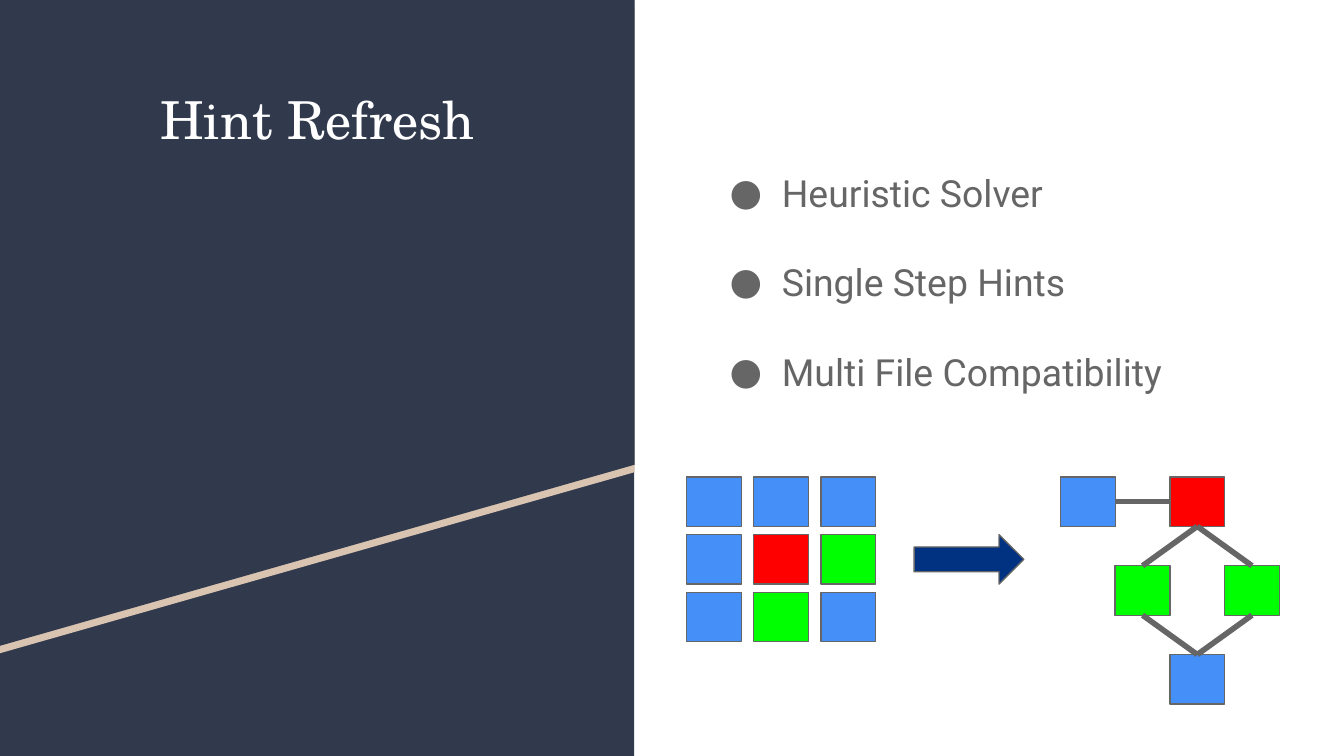
"""Build the Hint Refresh slide with its puzzle grid and constraint graph."""
from dataclasses import dataclass

import lxml.etree
import pptx
import pptx.dml.color
import pptx.enum.shapes
import pptx.enum.text
import pptx.oxml.ns
import pptx.util

Pt = pptx.util.Pt
MSO_SHAPE = pptx.enum.shapes.MSO_SHAPE


@dataclass(frozen=True)
class Theme:
    navy: str = "31394D"
    sand: str = "D9C4B1"
    white: str = "FFFFFF"
    grey: str = "666666"
    blue: str = "448FF8"
    red: str = "FF0000"
    green: str = "00FF00"
    arrow: str = "013181"
    title_font: str = "TeX Gyre Schola"
    body_font: str = "Roboto"
    title_size: float = 28
    body_size: float = 20


@dataclass(frozen=True)
class Lattice:
    left: float
    top: float
    column_step: float
    row_step: float


@dataclass(frozen=True)
class Tile:
    column: int
    row: int
    color: str


@dataclass(frozen=True)
class Edge:
    start: int
    start_site: int
    end: int
    end_site: int


THEME = Theme()
TILE_WIDTH, TILE_HEIGHT = 29.4, 26.5
PANEL_WIDTH = 339.8
TOP_SITE, LEFT_SITE, BOTTOM_SITE, RIGHT_SITE = range(4)

GRID = Lattice(367.8, 255.5, 36, 30.9)
GRID_COLORS = (
    (THEME.blue, THEME.blue, THEME.blue),
    (THEME.blue, THEME.red, THEME.green),
    (THEME.blue, THEME.green, THEME.blue),
)
GRAPH = Lattice(568.1, 255.5, 29.3, 47.6)
NODES = (
    Tile(0, 0, THEME.blue),
    Tile(2, 0, THEME.red),
    Tile(1, 1, THEME.green),
    Tile(3, 1, THEME.green),
    Tile(2, 2, THEME.blue),
)
EDGES = (
    Edge(0, RIGHT_SITE, 1, LEFT_SITE),
    Edge(1, BOTTOM_SITE, 2, TOP_SITE),
    Edge(1, BOTTOM_SITE, 3, TOP_SITE),
    Edge(2, BOTTOM_SITE, 4, TOP_SITE),
    Edge(3, BOTTOM_SITE, 4, TOP_SITE),
)
HINTS = ("Heuristic Solver", "Single Step Hints", "Multi File Compatibility")


def rgb(color: str) -> pptx.dml.color.RGBColor:
    return pptx.dml.color.RGBColor.from_string(color)


def paint(shape, fill: str, outline: str | None = None) -> None:
    shape.shadow.inherit = False
    shape.fill.solid()
    shape.fill.fore_color.rgb = rgb(fill)
    if outline:
        shape.line.color.rgb = rgb(outline)
        shape.line.width = Pt(0.75)
    else:
        shape.line.fill.background()


def format_font(font, name: str, size: float, color: str) -> None:
    font.name = name
    font.size = Pt(size)
    font.color.rgb = rgb(color)


def format_frame(frame) -> None:
    frame.word_wrap = True
    frame.auto_size = pptx.enum.text.MSO_AUTO_SIZE.NONE
    frame.vertical_anchor = pptx.enum.text.MSO_ANCHOR.TOP
    frame.margin_left = frame.margin_right = Pt(7.2)
    frame.margin_top = frame.margin_bottom = Pt(7.2)


def add_polygon(slide, points: list[tuple[float, float]], fill: str) -> None:
    builder = slide.shapes.build_freeform(*points[0], scale=Pt(1))
    builder.add_line_segments(points[1:], close=True)
    paint(builder.convert_to_shape(), fill)


def add_panel(slide) -> None:
    panel = slide.shapes.add_shape(MSO_SHAPE.RECTANGLE, Pt(0), Pt(0), Pt(PANEL_WIDTH), Pt(405))
    paint(panel, THEME.navy)
    for offset, color in ((3.6, THEME.sand), (0, THEME.navy)):
        corners = [(0, offset), (PANEL_WIDTH, offset),
                   (PANEL_WIDTH, 249.1 + offset), (0, 346.3 + offset)]
        add_polygon(slide, corners, color)


def add_title(slide) -> None:
    title = slide.shapes.title
    title.left, title.top, title.width, title.height = Pt(24.3), Pt(39.6), Pt(291.6), Pt(197.3)
    title.text_frame.text = "Hint Refresh"
    format_frame(title.text_frame)
    paragraph = title.text_frame.paragraphs[0]
    paragraph.alignment = pptx.enum.text.PP_ALIGN.CENTER
    format_font(paragraph.font, THEME.title_font, THEME.title_size, THEME.white)
    slide.shapes.element.append(title.element)


def add_bullet(paragraph) -> None:
    qualified = pptx.oxml.ns.qn
    properties = paragraph._p.get_or_add_pPr()
    properties.set("marL", str(Pt(36)))
    properties.set("indent", str(Pt(-28)))
    bullet_color = lxml.etree.SubElement(properties, qualified("a:buClr"))
    lxml.etree.SubElement(bullet_color, qualified("a:srgbClr"), val=THEME.grey)
    lxml.etree.SubElement(properties, qualified("a:buFont"), typeface=THEME.body_font)
    lxml.etree.SubElement(properties, qualified("a:buChar"), char="●")


def add_hints(slide) -> None:
    box = slide.shapes.add_textbox(Pt(375.8), Pt(59.8), Pt(328.3), Pt(322.6))
    frame = box.text_frame
    frame.text = "\n".join(HINTS)
    format_frame(frame)
    for paragraph in frame.paragraphs:
        paragraph.line_spacing = 2.0
        add_bullet(paragraph)
        format_font(paragraph.font, THEME.body_font, THEME.body_size, THEME.grey)


def add_tile(slide, lattice: Lattice, tile: Tile):
    shape = slide.shapes.add_shape(
        MSO_SHAPE.RECTANGLE,
        Pt(lattice.left + tile.column * lattice.column_step),
        Pt(lattice.top + tile.row * lattice.row_step),
        Pt(TILE_WIDTH), Pt(TILE_HEIGHT))
    paint(shape, tile.color, THEME.grey)
    return shape


def add_edge(slide, nodes: list, edge: Edge) -> None:
    connector = slide.shapes.add_connector(
        pptx.enum.shapes.MSO_CONNECTOR.STRAIGHT, Pt(0), Pt(0), Pt(0), Pt(0))
    connector.begin_connect(nodes[edge.start], edge.start_site)
    connector.end_connect(nodes[edge.end], edge.end_site)
    connector.line.color.rgb = rgb(THEME.grey)
    connector.line.width = Pt(3)
    lxml.etree.SubElement(connector.element.spPr, pptx.oxml.ns.qn("a:effectLst"))


def main() -> None:
    presentation = pptx.Presentation()
    presentation.slide_width, presentation.slide_height = Pt(720), Pt(405)
    slide = presentation.slides.add_slide(presentation.slide_layouts.get_by_name("Title Only"))
    add_panel(slide)
    add_title(slide)
    add_hints(slide)
    for row, colors in enumerate(GRID_COLORS):
        for column, color in enumerate(colors):
            add_tile(slide, GRID, Tile(column, row, color))
    nodes = [add_tile(slide, GRAPH, node) for node in NODES]
    for edge in EDGES:
        add_edge(slide, nodes, edge)
    arrow = slide.shapes.add_shape(MSO_SHAPE.RIGHT_ARROW, Pt(489.7), Pt(286.4), Pt(58.8), Pt(26.5))
    paint(arrow, THEME.arrow, THEME.grey)
    presentation.save("out.pptx")


main()
